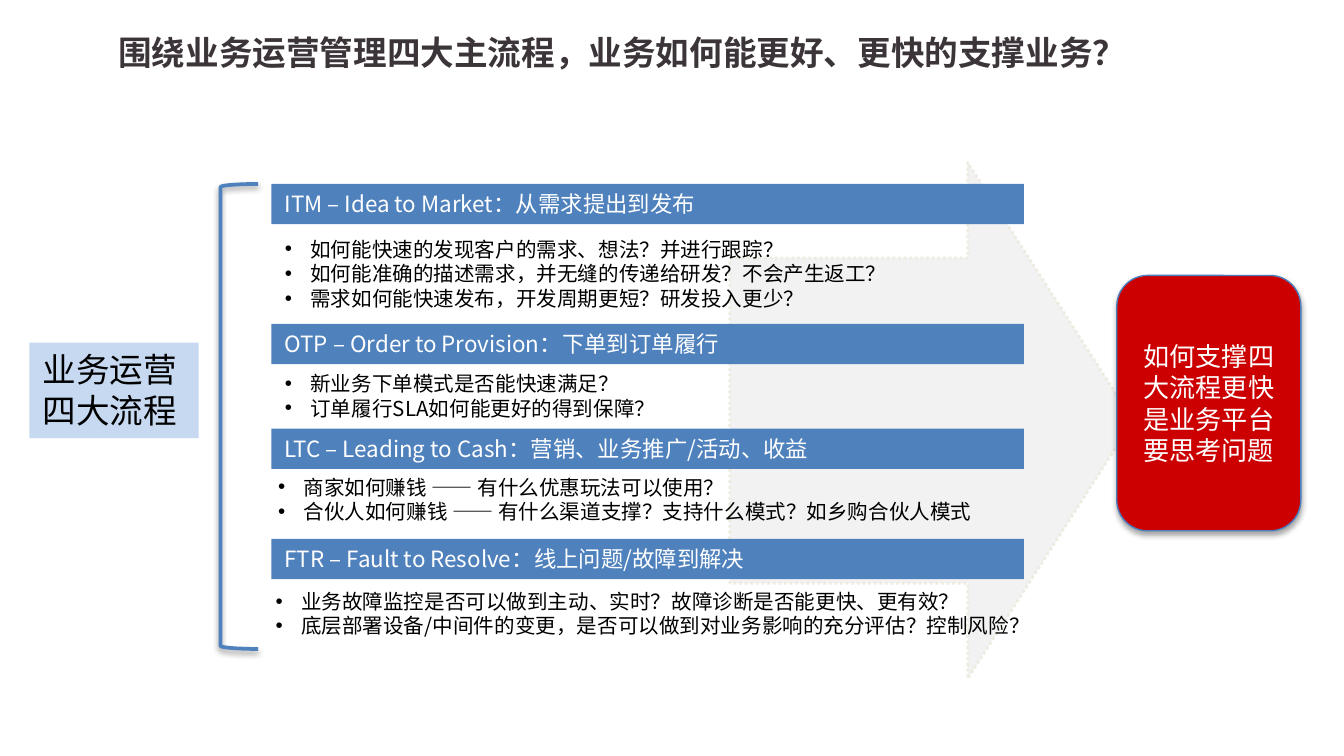
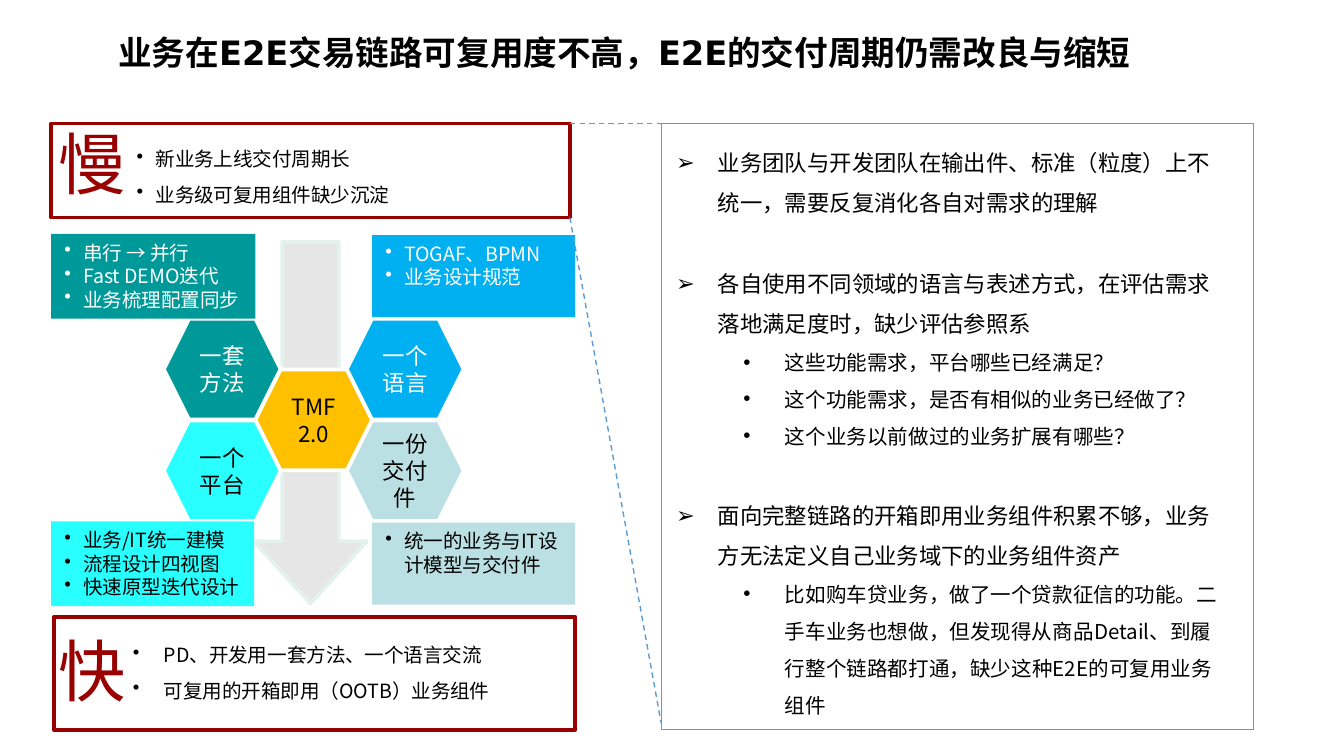
"""Build two slides on the four business processes and end-to-end delivery."""
import pptx
import pptx.dml.color
import pptx.enum.dml
import pptx.enum.shapes
import pptx.enum.text
import pptx.oxml
import pptx.oxml.ns
import pptx.util
from lxml import etree

Pt = pptx.util.Pt
SHAPE = pptx.enum.shapes.MSO_SHAPE
DASH = pptx.enum.dml.MSO_LINE
ALIGN = pptx.enum.text.PP_ALIGN
ANCHOR = pptx.enum.text.MSO_ANCHOR
qn = pptx.oxml.ns.qn

FONT = "Noto Sans CJK SC"
LINE_HEIGHT = 1.2
BLACK, WHITE = "000000", "FFFFFF"
BLUE, RED, DARK_RED, PALE_BLUE = "4F81BD", "CC0000", "990000", "C6D9F1"
TEAL, SKY, CYAN, MIST, AMBER = "009999", "00B0F0", "29FFFF", "BBE0E3", "FFC000"
GUIDE = "5B9BD5"

TITLE_AREA = (56.2, 13, 653.8, 32.4)
BAR_LEFT, BAR_WIDTH, BAR_HEIGHT = 145.4, 403.2, 21.6

PROCESSES = [
    (98.6, "ITM – Idea to Market：从需求提出到发布", (145.4, 123.1, 403.2, 47.5),
     ["如何能快速的发现客户的需求、想法？并进行跟踪？",
      "如何能准确的描述需求，并无缝的传递给研发？不会产生返工？",
      "需求如何能快速发布，开发周期更短？研发投入更少？"]),
    (173.5, "OTP – Order to Provision：下单到订单履行", (145.4, 195.1, 403.2, 33.8),
     ["新业务下单模式是否能快速满足？",
      "订单履行SLA如何能更好的得到保障？"]),
    (229.7, "LTC – Leading to Cash：营销、业务推广/活动、收益", (141.8, 250.6, 403.2, 33.8),
     ["商家如何赚钱 —— 有什么优惠玩法可以使用？",
      "合伙人如何赚钱 —— 有什么渠道支撑？支持什么模式？如乡购合伙人模式"]),
    (288.7, "FTR – Fault to Resolve：线上问题/故障到解决", (140.4, 311.8, 416.9, 33.8),
     ["业务故障监控是否可以做到主动、实时？故障诊断是否能更快、更有效？",
      "底层部署设备/中间件的变更，是否可以做到对业务影响的充分评估？控制风险？"]),
]

PILLARS = [
    (0, 0, "一套方法", TEAL, WHITE),
    (1, 1, "TMF 2.0", AMBER, BLACK),
    (2, 2, "一份交付件", MIST, BLACK),
    (0, 2, "一个平台", CYAN, BLACK),
    (2, 0, "一个语言", SKY, WHITE),
]

PRACTICES = [
    ((27.4, 279.4, 108.7, 45.4), CYAN, BLACK,
     ["业务/IT统一建模", "流程设计四视图", "快速原型迭代设计"]),
    ((27.4, 125.3, 109.4, 45.4), TEAL, WHITE,
     ["串行 → 并行", "Fast DEMO迭代", "业务梳理配置同步"]),
    ((199.4, 126, 108.7, 43.9), SKY, WHITE, ["TOGAF、BPMN", "业务设计规范"]),
    ((199.4, 280, 108.7, 43.9), MIST, BLACK, ["统一的业务与IT设计模型与交付件"]),
]

SPEEDS = [
    ("快", (28.8, 330.5, 279.4, 60.5), 333.4, (64.1, 334.8, 244.1, 45.4), 16.6,
     ["PD、开发用一套方法、一个语言交流", "可复用的开箱即用（OOTB）业务组件"]),
    ("慢", (27.4, 66.2, 277.9, 50.4), 61.9, (66.2, 69.1, 221, 45.4), 10.1,
     ["新业务上线交付周期长", "业务级可复用组件缺少沉淀"]),
]

PROBLEMS = [
    ("业务团队与开发团队在输出件、标准（粒度）上不统一，需要反复消化各自对需求的理解", []),
    ("各自使用不同领域的语言与表述方式，在评估需求落地满足度时，缺少评估参照系",
     ["这些功能需求，平台哪些已经满足？",
      "这个功能需求，是否有相似的业务已经做了？",
      "这个业务以前做过的业务扩展有哪些？"]),
    ("面向完整链路的开箱即用业务组件积累不够，业务方无法定义自己业务域下的业务组件资产",
     ["比如购车贷业务，做了一个贷款征信的功能。二手车业务也想做，但发现得从商品Detail、"
      "到履行整个链路都打通，缺少这种E2E的可复用业务组件"]),
]


def rgb(value):
    return pptx.dml.color.RGBColor.from_string(value)


def assign(target, values):
    for name, value in values.items():
        setattr(target, name, value)


def place(shape, area):
    assign(shape, dict(zip(("left", "top", "width", "height"), map(Pt, area))))


def send_to_back(slide, shape):
    slide.shapes._spTree.insert(2, shape._element)


def style_line(line, color, width, dash=None):
    line.color.rgb = rgb(color)
    line.width = Pt(width)
    if dash is not None:
        line.dash_style = dash


def style_run(run, size, color, bold=False, font=FONT):
    assign(run.font, {"size": Pt(size), "bold": bold, "name": font})
    run.font.color.rgb = rgb(color)
    etree.SubElement(run._r.get_or_add_rPr(), qn("a:ea"), typeface=FONT)


def prepare_frame(frame, anchor=ANCHOR.TOP):
    assign(frame, {"word_wrap": True, "vertical_anchor": anchor,
                   "auto_size": pptx.enum.text.MSO_AUTO_SIZE.NONE,
                   "margin_left": Pt(7.2), "margin_right": Pt(7.2),
                   "margin_top": Pt(3.6), "margin_bottom": Pt(3.6)})


def set_bullet(paragraph, mark, margin, hanging):
    properties = paragraph._p.get_or_add_pPr()
    properties.set("marL", str(Pt(margin)))
    properties.set("indent", str(-Pt(hanging)))
    etree.SubElement(properties, qn("a:buChar"), char=mark)


def write(frame, text, size, color, align=ALIGN.LEFT, anchor=ANCHOR.TOP):
    prepare_frame(frame, anchor)
    paragraph = frame.paragraphs[0]
    assign(paragraph, {"alignment": align, "line_spacing": Pt(size * LINE_HEIGHT)})
    run = paragraph.add_run()
    run.text = text
    style_run(run, size, color)


def add_item(frame, text, size, color, hanging, spacing=1, mark="•", level=0,
             margin=None, before=0):
    first = not frame.text
    paragraph = frame.paragraphs[0] if first else frame.add_paragraph()
    set_bullet(paragraph, mark, hanging if margin is None else margin, hanging)
    assign(paragraph, {"level": level, "alignment": ALIGN.LEFT,
                       "space_before": Pt(0 if first else before),
                       "line_spacing": Pt(round(size * LINE_HEIGHT * spacing, 2))})
    run = paragraph.add_run()
    run.text = text
    style_run(run, size, color)


def write_list(frame, items, size, color, hanging, spacing=1):
    prepare_frame(frame)
    for text in items:
        add_item(frame, text, size, color, hanging, spacing)


def write_title(slide, text, color, font):
    title = slide.shapes.title
    place(title, TITLE_AREA)
    prepare_frame(title.text_frame, ANCHOR.MIDDLE)
    paragraph = title.text_frame.paragraphs[0]
    assign(paragraph, {"alignment": ALIGN.LEFT, "line_spacing": 0.9})
    run = paragraph.add_run()
    run.text = text
    style_run(run, 18, color, True, font)


def add_block(slide, kind, area, fill=None, outline=None, adjustments=()):
    block = slide.shapes.add_shape(kind, *map(Pt, area))
    block.shadow.inherit = False
    for index, value in enumerate(adjustments):
        block.adjustments[index] = value
    if fill:
        block.fill.solid()
        block.fill.fore_color.rgb = rgb(fill)
    else:
        block.fill.background()
    if outline:
        style_line(block.line, *outline)
    else:
        block.line.fill.background()
    return block


def drop_shadow(block, opacity, blur, distance):
    effects = block._element.spPr.find(qn("a:effectLst"))
    shadow = etree.SubElement(effects, qn("a:outerShdw"), blurRad=str(Pt(blur)),
                              dist=str(Pt(distance)), dir="5400000", rotWithShape="0")
    tone = etree.SubElement(shadow, qn("a:srgbClr"), val=BLACK)
    etree.SubElement(tone, qn("a:alpha"), val=str(opacity * 1000))


def add_text(slide, area):
    return slide.shapes.add_textbox(*map(Pt, area)).text_frame


def add_guide(slide, start, end):
    guide = slide.shapes.add_connector(pptx.enum.shapes.MSO_CONNECTOR.STRAIGHT,
                                       *map(Pt, start + end))
    style_line(guide.line, GUIDE, 0.75, DASH.DASH)
    etree.SubElement(guide._element.spPr, qn("a:effectLst"))


def build_processes(deck):
    slide = deck.slides.add_slide(deck.slide_layouts[4])
    write_title(slide, "围绕业务运营管理四大主流程，业务如何能更好、更快的支撑业务？", "3B3439", FONT)
    thrust = add_block(slide, SHAPE.RIGHT_ARROW, (391, 87.1, 216, 276.5), "F2F2F2",
                       ("EEECE1", 1.5, DASH.ROUND_DOT), (0.63, 0.41))
    send_to_back(slide, thrust)

    scope = add_block(slide, SHAPE.RECTANGLE, (15.8, 183.6, 90.7, 51.1), PALE_BLUE)
    write(scope.text_frame, "业务运营四大流程", 18, BLACK)
    bracket = add_block(slide, SHAPE.LEFT_BRACKET, (118.1, 98.6, 20.2, 249.1),
                        outline=(BLUE, 2))
    drop_shadow(bracket, 38, 3.1, 1.6)

    bodies = list(slide.placeholders)[1:]
    for body, (top, heading, area, questions) in zip(bodies, PROCESSES):
        bar = add_block(slide, SHAPE.RECTANGLE, (BAR_LEFT, top, BAR_WIDTH, BAR_HEIGHT), BLUE)
        write(bar.text_frame, heading, 12, WHITE)
        place(body, area)
        write_list(body.text_frame, questions, 11, BLACK, 13.7)

    conclusion = add_block(slide, SHAPE.ROUNDED_RECTANGLE, (598.3, 147.6, 98.6, 136.8),
                           RED, ("4B7EBC", 0.75))
    drop_shadow(conclusion, 35, 3.1, 1.8)
    write(conclusion.text_frame, "如何支撑四大流程更快是业务平台要思考问题", 14, WHITE,
          ALIGN.CENTER, ANCHOR.MIDDLE)


def build_delivery(deck):
    slide = deck.slides.add_slide(deck.slide_layouts[1])
    write_title(slide, "业务在E2E交易链路可复用度不高，E2E的交付周期仍需改良与缩短", BLACK, "DejaVu Sans")

    add_block(slide, SHAPE.DOWN_ARROW, (136.1, 129.6, 60.5, 193.7), "E6E6E6",
              ("E3F2ED", 2), (0.5, 0.55))
    for column, row, name, fill, ink in PILLARS:
        pillar = add_block(slide, SHAPE.HEXAGON,
                           (87.8 + 49 * column, 170.8 + 27.2 * row, 62.6, 54),
                           fill, (WHITE, 2))
        write(pillar.text_frame, name, 12, ink, ALIGN.CENTER, ANCHOR.MIDDLE)
    for area, fill, ink, items in PRACTICES:
        practice = add_block(slide, SHAPE.RECTANGLE, area, fill)
        write_list(practice.text_frame, items, 10.5, ink, 10.1)
    for word, frame_area, word_top, list_area, hanging, items in SPEEDS:
        add_block(slide, SHAPE.RECTANGLE, frame_area, outline=(DARK_RED, 2))
        write(add_text(slide, (24.5, word_top, 51.1, 51.1)), word, 36, DARK_RED)
        write_list(add_text(slide, list_area), items, 10.5, BLACK, hanging, 1.5)

    panel = add_block(slide, SHAPE.RECTANGLE, (354.2, 66.2, 317.5, 324.7), WHITE, (GUIDE, 0.5))
    send_to_back(slide, panel)
    add_guide(slide, (305.3, 66.2), (354.2, 66.2))
    add_guide(slide, (305.3, 116.6), (354.2, 387.4))

    body = slide.placeholders[1]
    place(body, (355, 69.1, 311, 321.8))
    prepare_frame(body.text_frame)
    for problem, details in PROBLEMS:
        add_item(body.text_frame, problem, 12, BLACK, 22.3, 1.5, "➢", before=21.6)
        for detail in details:
            add_item(body.text_frame, detail, 11, BLACK, 22.3, 1.5, level=1, margin=58.3)


def main():
    deck = pptx.Presentation()
    assign(deck, {"slide_width": Pt(720), "slide_height": Pt(405)})
    build_processes(deck)
    build_delivery(deck)
    deck.save("out.pptx")


if __name__ == "__main__":
    main()
